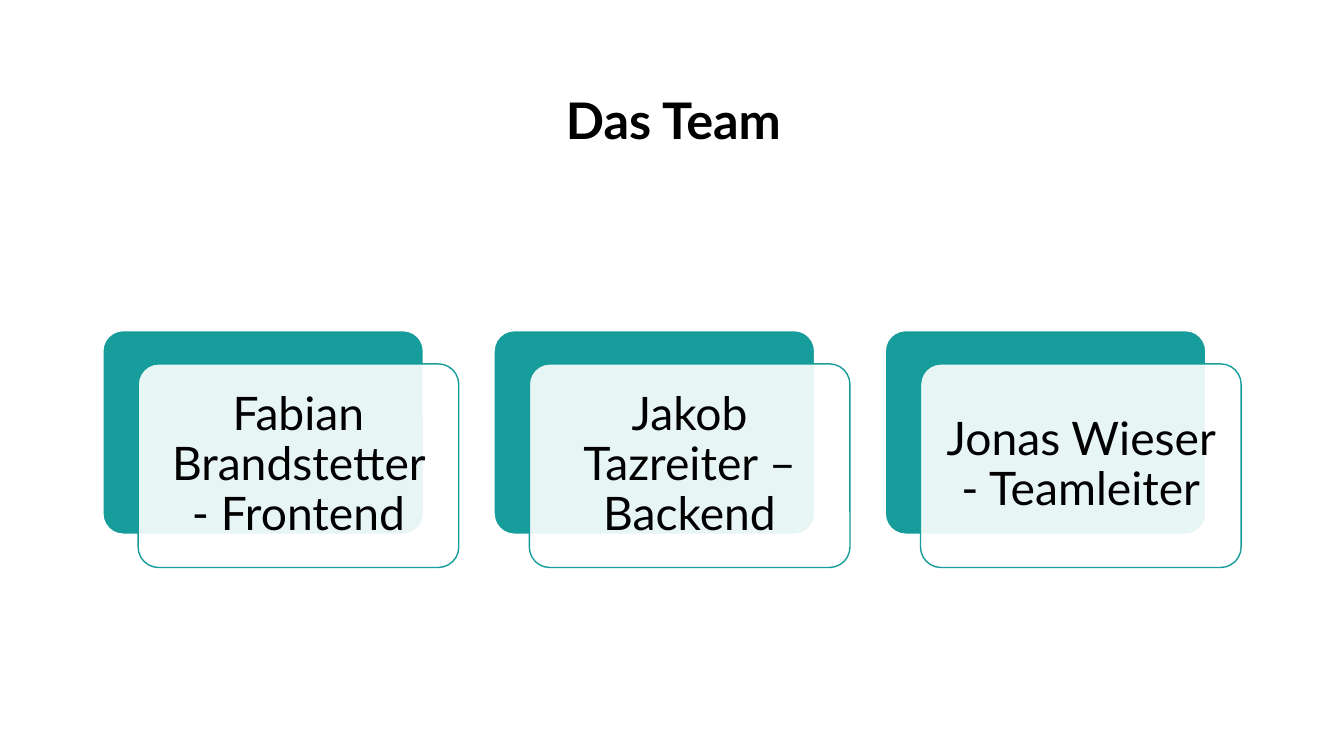
from dataclasses import dataclass

from lxml import etree
from pptx import Presentation
from pptx.dml.color import RGBColor
from pptx.enum.shapes import MSO_SHAPE
from pptx.enum.text import MSO_ANCHOR, MSO_AUTO_SIZE, PP_ALIGN
from pptx.oxml.ns import qn
from pptx.shapes.autoshape import Shape
from pptx.slide import Slide
from pptx.util import Pt

ROUNDED = MSO_SHAPE.ROUNDED_RECTANGLE
MIDDLE = MSO_ANCHOR.MIDDLE
CENTER = PP_ALIGN.CENTER
NO_AUTOFIT = MSO_AUTO_SIZE.NONE

EMU_PER_PX = 9144  # 100 px to the inch
TEAL = RGBColor(0x16, 0x9C, 0x9A)
WHITE = RGBColor(0xFF, 0xFF, 0xFF)
BLACK = RGBColor(0x00, 0x00, 0x00)
FONT = "Lato"

CARD_W, CARD_H = 318, 202
CARD_LEFT, CARD_TOP = 102, 328
CARD_PITCH = 388
FRONT_DX, FRONT_DY = 35, 33
CARD_INSET = 14


@dataclass(frozen=True)
class Member:
    name: str
    dash: str
    role: str


TEAM = [
    Member("Fabian Brandstetter", "-", "Frontend"),
    Member("Jakob Tazreiter", "–", "Backend"),
    Member("Jonas Wieser", "-", "Teamleiter"),
]


def px(n: int) -> int:
    return n * EMU_PER_PX


def set_text(sp: Shape, text: str, size: int, bold: bool = False) -> None:
    tf = sp.text_frame
    frame_format = {"word_wrap": True, "auto_size": NO_AUTOFIT,
                    "vertical_anchor": MIDDLE}
    for key, value in frame_format.items():
        setattr(tf, key, value)
    p = tf.paragraphs[0]
    p.alignment = CENTER
    p.line_spacing = 0.9
    r = p.add_run()
    r.text = text
    font_format = {"name": FONT, "size": Pt(size), "bold": bold}
    for key, value in font_format.items():
        setattr(r.font, key, value)
    r.font.color.rgb = BLACK


def add_panel(s: Slide, left: int, top: int, fill: RGBColor,
              line: RGBColor) -> Shape:
    sp = s.shapes.add_shape(ROUNDED, px(left), px(top), px(CARD_W), px(CARD_H))
    sp.adjustments[0] = 0.1
    sp.shadow.inherit = False
    sp.fill.solid()
    sp.fill.fore_color.rgb = fill
    sp.line.color.rgb = line
    sp.line.width = Pt(1)
    return sp


def set_opacity(sp: Shape, percent: int) -> None:
    color = sp.fill._xPr.find(qn("a:solidFill")).find(qn("a:srgbClr"))
    etree.SubElement(color, qn("a:alpha"), val=str(percent * 1000))


def add_member(s: Slide, member: Member, left: int) -> None:
    """Draw a teal panel with the member's translucent card in front."""
    add_panel(s, left, CARD_TOP, TEAL, WHITE)
    card = add_panel(s, left + FRONT_DX, CARD_TOP + FRONT_DY, WHITE, TEAL)
    set_opacity(card, 90)
    for side in ("left", "top", "right", "bottom"):
        setattr(card.text_frame, f"margin_{side}", px(CARD_INSET))
    set_text(card, f"{member.name} {member.dash} {member.role}", 33)


def main() -> None:
    prs = Presentation()
    prs.slide_width, prs.slide_height = px(1333), px(750)
    s = prs.slides.add_slide(prs.slide_layouts.get_by_name("Title Only"))

    title = s.shapes.title
    place = {"left": 167, "top": 60, "width": 1002, "height": 124}
    for key, value in place.items():
        setattr(title, key, px(value))
    set_text(title, "Das Team", 36, bold=True)

    for i, member in enumerate(TEAM):
        add_member(s, member, CARD_LEFT + i * CARD_PITCH)
    prs.save("out.pptx")


if __name__ == "__main__":
    main()
